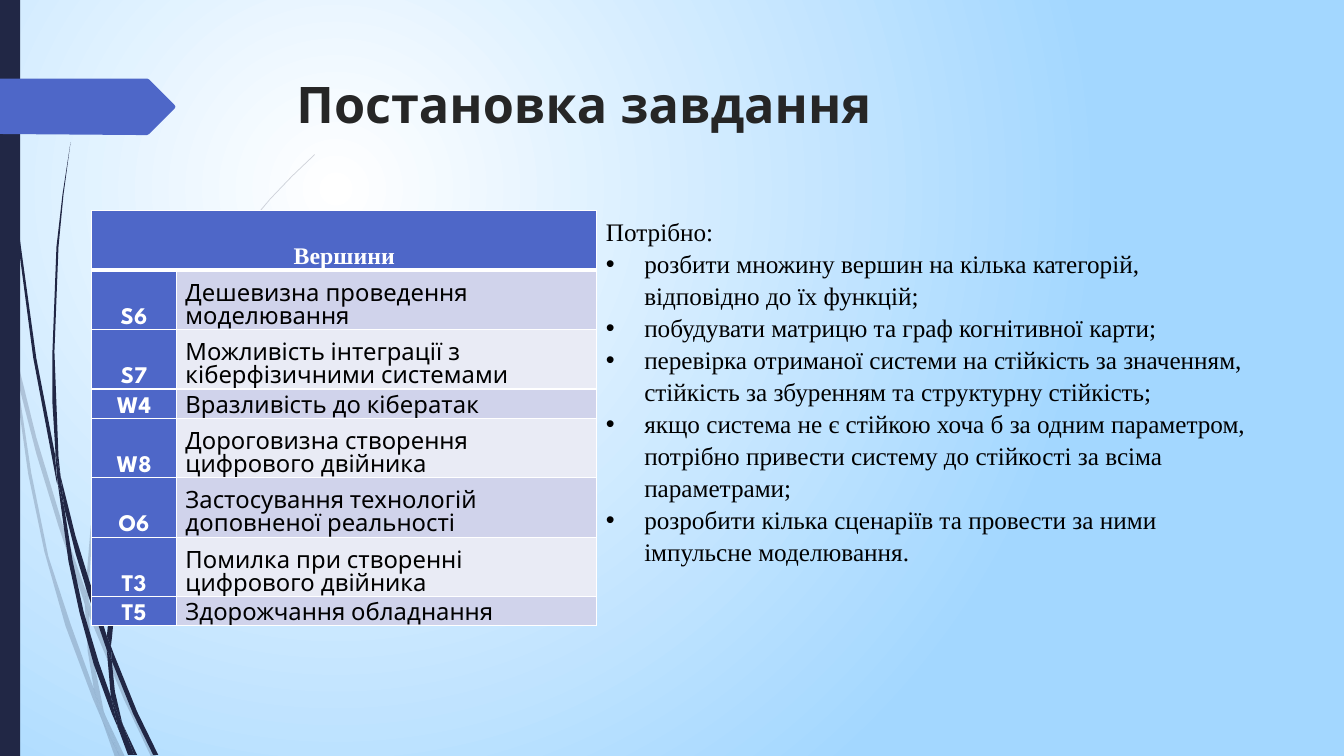
import lxml.etree
import pptx
import pptx.dml.color
import pptx.enum.shapes
import pptx.enum.text
import pptx.oxml.ns
import pptx.util

PX = 9144  # EMU per px, 100 px to the inch
ALIGN = pptx.enum.text.PP_ALIGN
ANCHOR = pptx.enum.text.MSO_ANCHOR
HEADING_FONT = "League Spartan"
BODY_FONT = "Times New Roman"
COLOURS = {
    "navy": "212745", "blue": "4E67C8", "white": "FFFFFF", "sky": "A3D7FF",
    "title": "262626", "black": "000000", "odd": "D0D3EB", "even": "E9EBF5",
}

PALE_WISPS = [
    [(11, 350), (9, 322), (0, 282), (0, 299), (10, 344)],
    [(58, 522), (84, 599), (85, 586), (62, 520), (36, 434), (14, 345), (17, 376), (36, 450)],
    [(92, 607), (88, 596), (88, 610), (123, 694), (150, 751), (155, 751), (127, 692)],
    [(119, 751), (124, 751), (105, 711)],
    [(93, 683), (70, 619), (48, 552), (31, 469), (17, 376), (11, 350), (28, 470), (44, 547),
     (65, 621), (92, 693), (101, 714), (99, 707)],
    [(84, 599), (87, 646), (93, 683), (96, 692), (105, 711), (103, 706), (91, 646), (88, 608)],
    [(88, 584), (92, 523), (110, 462), (132, 405), (160, 349), (192, 295), (229, 245),
     (268, 198), (290, 175), (312, 154), (312, 153), (289, 175), (268, 197), (228, 244),
     (190, 294), (158, 348), (129, 403), (107, 461), (90, 522), (85, 584), (85, 586), (88, 596)],
    [(101, 714), (114, 751), (119, 751)],
    [(88, 608), (88, 596), (85, 586), (84, 599)],
    [(96, 692), (93, 683), (99, 707), (101, 714), (119, 751), (105, 711)],
]
DARK_WISPS = [
    [(7, 110), (17, 233), (33, 355), (56, 477), (57, 481), (55, 457), (55, 453), (36, 355),
     (19, 232), (8, 109), (5, 48), (4, 0), (3, 0), (4, 48)],
    [(88, 592), (106, 645), (106, 631), (93, 590), (75, 532), (60, 472), (64, 505), (75, 549)],
    [(113, 649), (110, 641), (111, 656), (132, 708), (152, 749), (157, 749), (136, 706)],
    [(110, 691), (98, 657), (83, 607), (72, 556), (64, 505), (57, 477), (68, 557), (79, 608),
     (93, 659), (111, 708), (117, 722), (116, 717)],
    [(60, 472), (58, 453), (54, 349), (58, 245), (63, 193), (70, 141), (62, 193), (56, 245),
     (52, 349), (52, 400), (55, 449)],
    [(133, 749), (136, 749), (122, 719)],
    [(57, 477), (64, 505), (60, 472), (55, 449), (55, 453)],
    [(111, 633), (115, 591), (125, 552), (139, 513), (158, 476), (180, 440), (205, 406),
     (231, 374), (245, 359), (261, 344), (260, 344), (245, 358), (231, 373), (204, 405),
     (178, 439), (156, 474), (137, 512), (122, 551), (110, 591), (106, 631), (110, 641)],
    [(117, 722), (127, 749), (131, 749)],
    [(106, 645), (110, 691), (116, 706), (122, 719), (121, 716), (114, 686), (111, 656)],
    [(106, 645), (111, 656), (110, 641), (106, 631)],
    [(116, 706), (110, 691), (116, 717), (117, 722), (130, 749), (133, 749), (122, 719)],
]
ARROW = [(0, 78), (146, 78), (148, 79), (173, 104), (174, 106), (173, 108), (148, 133),
         (146, 134), (136, 134), (0, 133)]

VERTICES = [
    ("S6", "Дешевизна проведення моделювання", 59),
    ("S7", "Можливість інтеграції з кіберфізичними системами", 59),
    ("W4", "Вразливість до кібератак", 29),
    ("W8", "Дороговизна створення цифрового двійника", 59),
    ("O6", "Застосування технологій доповненої реальності", 59),
    ("T3", "Помилка при створенні цифрового двійника", 59),
    ("T5", "Здорожчання обладнання", 29),
]
TASKS = [
    "розбити множину вершин на кілька категорій, відповідно до їх функцій;",
    "побудувати матрицю та граф когнітивної карти;",
    "перевірка отриманої системи на стійкість за значенням, стійкість за збуренням та "
    "структурну стійкість;",
    "якщо система не є стійкою хоча б за одним параметром, потрібно привести систему до "
    "стійкості за всіма параметрами;",
    "розробити кілька сценаріїв та провести за ними імпульсне моделювання.",
]


def px(*lengths):
    return [pptx.util.Emu(length * PX) for length in lengths]


def rgb(name):
    return pptx.dml.color.RGBColor.from_string(COLOURS[name])


def add_xml(parent, tag, **attributes):
    return lxml.etree.SubElement(parent, pptx.oxml.ns.qn(tag), attributes)


def set_font(paragraph, face, size, colour, bold=False):
    font = paragraph.font
    font.name, font.size, font.bold = face, pptx.util.Pt(size), bold
    font.color.rgb = rgb(colour)


def place(shape, left, top, width, height):
    shape.left, shape.top, shape.width, shape.height = px(left, top, width, height)


def paint(shape, colour):
    shape.shadow.inherit = False
    shape.fill.solid()
    shape.fill.fore_color.rgb = rgb(colour)
    shape.line.fill.background()


def add_outline(shapes, points, colour, opacity=100):
    builder = shapes.build_freeform(*points[0], scale=PX)
    builder.add_line_segments(points[1:], close=True)
    outline = builder.convert_to_shape()
    paint(outline, colour)
    if opacity < 100:
        tint = outline.element.spPr.find(".//" + pptx.oxml.ns.qn("a:srgbClr"))
        add_xml(tint, "a:alpha", val=str(opacity * 1000))


def add_background(slide):
    """Radial gradient centred in the upper left quarter."""
    fill = slide.background.fill
    fill.gradient()
    for stop, colour in zip(fill.gradient_stops, ("white", "sky")):
        stop.color.rgb = rgb(colour)
    for stop, position in zip(fill.gradient_stops, (0, 1)):
        stop.position = position
    gradient = slide.element.find(".//" + pptx.oxml.ns.qn("a:gradFill"))
    gradient.remove(gradient.find(pptx.oxml.ns.qn("a:lin")))
    circle = add_xml(gradient, "a:path", path="circle")
    add_xml(circle, "a:fillToRect", l="50000", t="50000", r="100000", b="100000")


def add_decor(shapes):
    for wisps, opacity in ((PALE_WISPS, 20), (DARK_WISPS, 100)):
        strands = shapes.add_group_shape().shapes
        for wisp in wisps:
            add_outline(strands, wisp, "navy", opacity)
    edge = shapes.add_shape(pptx.enum.shapes.MSO_SHAPE.RECTANGLE, *px(0, 0, 20, 750))
    paint(edge, "navy")
    add_outline(shapes, ARROW, "blue")


def add_title(title):
    place(title, 284, 68, 975, 140)
    frame = title.text_frame
    frame.text = "Постановка завдання"
    frame.vertical_anchor = ANCHOR.TOP
    frame.paragraphs[0].alignment = ALIGN.LEFT
    set_font(frame.paragraphs[0], HEADING_FONT, 36, "title", True)


def add_borders(cell, top, bottom):
    properties = cell._tc.get_or_add_tcPr()
    for side, points in (("L", 1), ("R", 1), ("T", top), ("B", bottom)):
        border = add_xml(properties, "a:ln" + side, w=str(pptx.util.Pt(points)))
        add_xml(add_xml(border, "a:solidFill"), "a:srgbClr", val=COLOURS["white"])


def fill_cell(cell, text, face, fill, colour, header=True, top=1, bottom=1):
    add_borders(cell, top, bottom)
    cell.fill.solid()
    cell.fill.fore_color.rgb = rgb(fill)
    cell.margin_left, cell.margin_right, cell.margin_top, cell.margin_bottom = px(9, 9, 0, 0)
    cell.vertical_anchor = ANCHOR.BOTTOM
    cell.text = text
    paragraph = cell.text_frame.paragraphs[0]
    paragraph.alignment = ALIGN.CENTER if header else ALIGN.LEFT
    paragraph.line_spacing = 1.06
    set_font(paragraph, face, 17, colour, header)


def add_vertices(shapes):
    heights = [59] + [height for _, _, height in VERTICES]
    table = shapes.add_table(len(heights), 2, *px(91, 209, 501, sum(heights))).table
    for column, width in zip(table.columns, px(84, 417)):
        column.width = width
    for row, height in zip(table.rows, px(*heights)):
        row.height = height
    for column, heading in enumerate(("Вершини", "")):
        fill_cell(table.cell(0, column), heading, BODY_FONT, "blue", "white", bottom=3)
    table.cell(0, 0).merge(table.cell(0, 1))
    for row, (code, meaning, _) in enumerate(VERTICES, 1):
        top = 3 if row == 1 else 1
        fill_cell(table.cell(row, 0), code, HEADING_FONT, "blue", "white", top=top)
        fill_cell(table.cell(row, 1), meaning, HEADING_FONT, "odd" if row % 2 else "even",
                  "black", header=False, top=top)


def add_tasks(body):
    place(body, 591, 208, 667, 363)
    frame = body.text_frame
    frame.text = "\n".join(["Потрібно:"] + TASKS)
    frame.auto_size = pptx.enum.text.MSO_AUTO_SIZE.NONE
    for index, paragraph in enumerate(frame.paragraphs):
        paragraph.line_spacing = 1.06
        paragraph.space_before = pptx.util.Pt(0)
        set_font(paragraph, BODY_FONT, 18, "black")
        properties = paragraph._p.get_or_add_pPr()
        indent = 38 * PX if index else 0
        properties.set("marL", str(indent))
        properties.set("indent", str(-indent))
        bullet = properties.makeelement(pptx.oxml.ns.qn("a:buChar" if index else "a:buNone"))
        if index:
            bullet.set("char", "•")
        properties.insert_element_before(bullet, "a:tabLst", "a:defRPr", "a:extLst")
    frame.paragraphs[-1].space_after = pptx.util.Pt(8)


def main():
    deck = pptx.Presentation()
    deck.slide_width, deck.slide_height = px(1333, 750)
    slide = deck.slides.add_slide(deck.slide_layouts[1])
    add_background(slide)
    add_decor(slide.shapes)
    add_title(slide.shapes.title)
    add_vertices(slide.shapes)
    add_tasks(slide.placeholders[1])
    deck.save("out.pptx")


if __name__ == "__main__":
    main()
